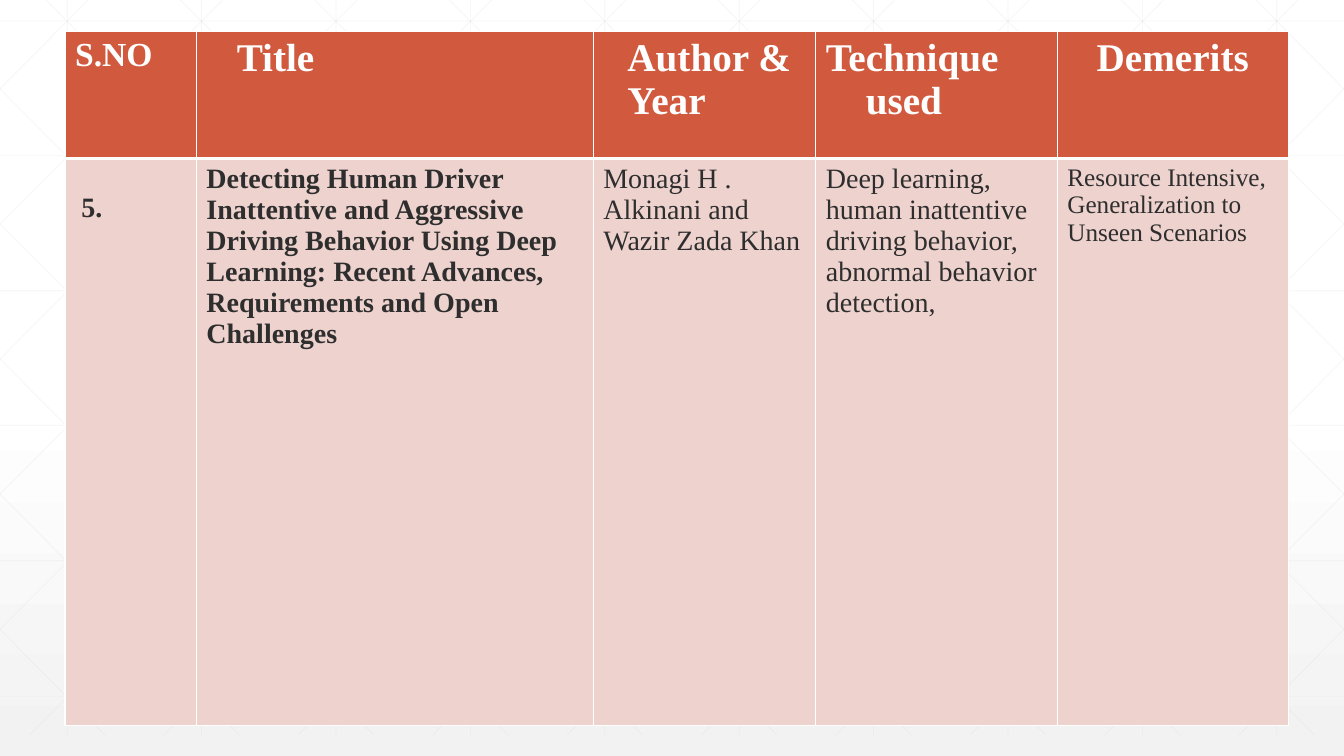
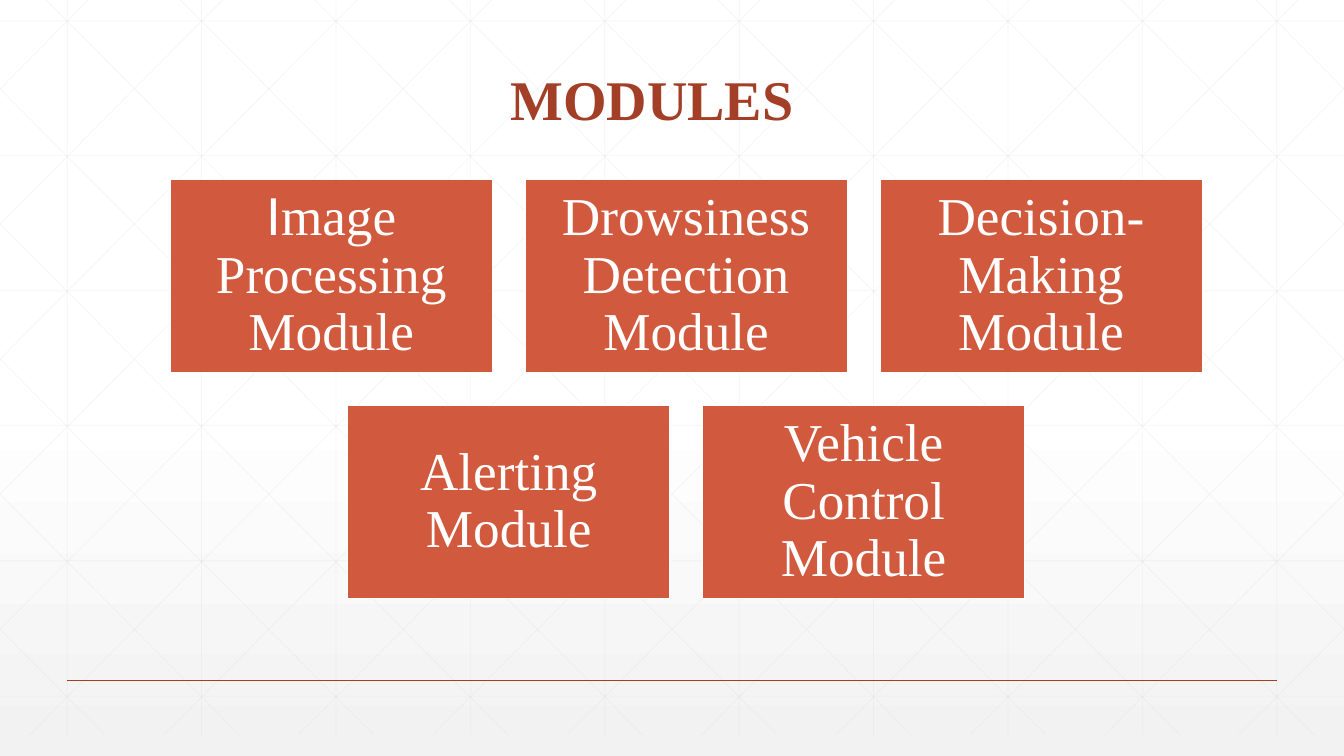
from copy import deepcopy

from lxml.etree import SubElement
from pptx import Presentation
from pptx.dml.color import RGBColor
from pptx.enum.shapes import MSO_CONNECTOR, MSO_SHAPE
from pptx.enum.text import MSO_ANCHOR, PP_ALIGN
from pptx.oxml import parse_xml
from pptx.oxml.ns import nsdecls, qn
from pptx.util import Emu, Pt

EMU_PER_PX = 9525
WIDTH, HEIGHT = 1280, 720
SERIF, SANS = "Times New Roman", "Arial"
WHITE, ORANGE, RUST, PINK = "FFFFFF", "D15A3E", "A43F27", "EED2CE"
INK, GRID_GRAY, PALE_GRAY = "2D2E2D", "D9D9D9", "F2F2F2"

GRID_TOP, GRID_BOTTOM = -20, 700
GRID_STEP = 128
DIAGONAL_SLOPE = 720 / 716

COLUMN_WIDTHS = [125, 378, 212, 230, 220]
ROW_HEIGHTS = [121, 540]
HEADERS = [
    [("S.NO", 24, 0)],
    [("Title", 28, 29)],
    [("Author & Year", 28, 23)],
    [("Technique", 28, 0), ("used", 28, 38)],
    [("Demerits", 28, 0)],
]
ENTRIES = [
    ("5.", 20, True),
    ("Detecting Human Driver Inattentive and Aggressive Driving Behavior Using Deep "
     "Learning: Recent Advances, Requirements and Open Challenges", 20, True),
    ("Monagi H . Alkinani and Wazir Zada Khan", 20, False),
    ("Deep learning, human inattentive driving behavior, abnormal behavior detection,",
     20, False),
    ("Resource Intensive, Generalization to Unseen Scenarios", 18, False),
]
MODULE_ROWS = [
    [
        [("I", SANS), ("mage Processing Module", SERIF)],
        [("Drowsiness Detection Module", SERIF)],
        [("Decision-Making Module", SERIF)],
    ],
    [
        [("Alerting Module", SERIF)],
        [("Vehicle Control Module", SERIF)],
    ],
]


def px(value):
    return Emu(round(value * EMU_PER_PX))


def color(value):
    return RGBColor.from_string(value)


def apply_format(target, values):
    for name, value in values.items():
        setattr(target, name, value)


def add_run(paragraph, text, size, fill, bold=False, font=SERIF):
    run = paragraph.add_run()
    run.text = text
    apply_format(run.font, {"name": font, "size": Pt(size), "bold": bold})
    run.font.color.rgb = color(fill)


def add_line(shapes, start, end, stroke, width, opacity=100):
    connector = shapes.add_connector(
        MSO_CONNECTOR.STRAIGHT, *(px(value) for value in (*start, *end)))
    connector.line.width = Pt(width)
    connector.line.color.rgb = color(stroke)
    if opacity < 100:
        stroke_color = connector.element.xpath(".//a:ln//a:srgbClr")[0]
        SubElement(stroke_color, qn("a:alpha"), val=str(opacity * 1000))
    SubElement(connector.element.spPr, qn("a:effectLst"))


def grid_lines():
    for column in range(10):
        x = GRID_STEP // 2 + column * GRID_STEP
        yield (x, 0), (x, GRID_BOTTOM)
    for row in range(6):
        y = 20 + row * 643 // 5
        yield (0, y), (WIDTH, y)
    for step in range(-5, 10):
        origin = 24 + step * GRID_STEP
        left = max(0, origin - GRID_TOP / DIAGONAL_SLOPE)
        right = min(WIDTH, origin + (GRID_BOTTOM - GRID_TOP) / DIAGONAL_SLOPE)
        top, bottom = (GRID_TOP + (x - origin) * DIAGONAL_SLOPE for x in (left, right))
        yield (left, top), (right, bottom)
        yield (WIDTH - left, top), (WIDTH - right, bottom)


def style_master(master, slide):
    fill = master.background.fill
    fill.gradient()
    fill.gradient_angle = 270
    stop_list = master.element.xpath("./p:cSld/p:bg//a:gsLst")[0]
    stop_list.append(deepcopy(stop_list[0]))
    stops = zip(fill.gradient_stops, [(0, WHITE), (0.53, WHITE), (1, PALE_GRAY)])
    for stop, (position, value) in stops:
        stop.position = position
        stop.color.rgb = color(value)

    group = slide.shapes.add_group_shape()
    for start, end in grid_lines():
        add_line(group.shapes, start, end, GRID_GRAY, 0.5, opacity=25)
    add_line(group.shapes, (64, 648), (1216, 648), RUST, 1)
    for number, properties in enumerate(group.element.xpath(".//p:cNvPr"), 100):
        properties.set("id", str(number))
    master.shapes.element.insert(2, group.element)


def set_borders(cell, bottom_width):
    properties = cell._tc.get_or_add_tcPr()
    for index, side in enumerate("LRTB"):
        width = bottom_width if side == "B" else 1
        properties.insert(index, parse_xml(
            f'<a:ln{side} {nsdecls("a")} w="{Pt(width)}"><a:solidFill>'
            f'<a:srgbClr val="{WHITE}"/></a:solidFill></a:ln{side}>'))


def fill_cell(cell, lines, background, text_color, bold, bottom_width=1):
    cell.fill.solid()
    cell.fill.fore_color.rgb = color(background)
    set_borders(cell, bottom_width)
    for index, (text, size, indent) in enumerate(lines):
        frame = cell.text_frame
        paragraph = frame.add_paragraph() if index else frame.paragraphs[0]
        if indent:
            paragraph._p.get_or_add_pPr().set("marL", str(px(indent)))
        add_run(paragraph, text, size, text_color, bold)


def add_survey_table(slide):
    frame = slide.shapes.add_table(
        len(ROW_HEIGHTS), len(COLUMN_WIDTHS), px(62), px(30),
        px(sum(COLUMN_WIDTHS)), px(sum(ROW_HEIGHTS)))
    table = frame.table
    for column, width in zip(table.columns, COLUMN_WIDTHS):
        column.width = px(width)
    for row, height in zip(table.rows, ROW_HEIGHTS):
        row.height = px(height)
    for index, lines in enumerate(HEADERS):
        fill_cell(table.cell(0, index), lines, ORANGE, WHITE, True, bottom_width=3)
    for index, (text, size, bold) in enumerate(ENTRIES):
        indent = 0 if index else 6
        fill_cell(table.cell(1, index), [(text, size, indent)], PINK, INK, bold)
    table.cell(0, 4).text_frame.paragraphs[0].alignment = PP_ALIGN.CENTER
    table.cell(1, 0).margin_top = px(32)


def set_title(slide, text):
    title = slide.shapes.title
    apply_format(title, {"left": px(117), "top": px(11),
                         "width": px(1008), "height": px(120)})
    title.text_frame.vertical_anchor = MSO_ANCHOR.BOTTOM
    paragraph = title.text_frame.paragraphs[0]
    apply_format(paragraph, {"alignment": PP_ALIGN.CENTER, "line_spacing": 0.9})
    add_run(paragraph, text, 40, RUST, bold=True)


def add_module_box(slide, left, top, width, height, runs):
    box = slide.shapes.add_shape(
        MSO_SHAPE.RECTANGLE, px(left), px(top), px(width), px(height))
    box.shadow.inherit = False
    box.fill.solid()
    box.fill.fore_color.rgb = color(ORANGE)
    box.line.color.rgb = color(WHITE)
    box.line.width = Pt(1)
    inset = px(15)
    apply_format(box.text_frame, {
        "word_wrap": True, "vertical_anchor": MSO_ANCHOR.MIDDLE,
        "margin_left": inset, "margin_right": inset,
        "margin_top": inset, "margin_bottom": inset})
    paragraph = box.text_frame.paragraphs[0]
    apply_format(paragraph, {"alignment": PP_ALIGN.CENTER, "line_spacing": 0.9})
    for text, font in runs:
        add_run(paragraph, text, 38, WHITE, font=font)


def add_module_grid(slide):
    left, top, width, height, gap = 162, 171, 307, 184, 31
    pitch = width + gap
    for row, modules in enumerate(MODULE_ROWS):
        row_left = left + (len(MODULE_ROWS[0]) - len(modules)) * pitch / 2
        for column, runs in enumerate(modules):
            add_module_box(slide, row_left + column * pitch,
                           top + row * (height + gap), width, height, runs)


def main():
    presentation = Presentation()
    apply_format(presentation, {"slide_width": px(WIDTH), "slide_height": px(HEIGHT)})
    title_only, blank = presentation.slide_layouts[5], presentation.slide_layouts[6]

    survey = presentation.slides.add_slide(blank)
    style_master(presentation.slide_master, survey)
    add_survey_table(survey)

    modules = presentation.slides.add_slide(title_only)
    set_title(modules, "MODULES")
    add_module_grid(modules)

    presentation.save("out.pptx")


if __name__ == "__main__":
    main()
